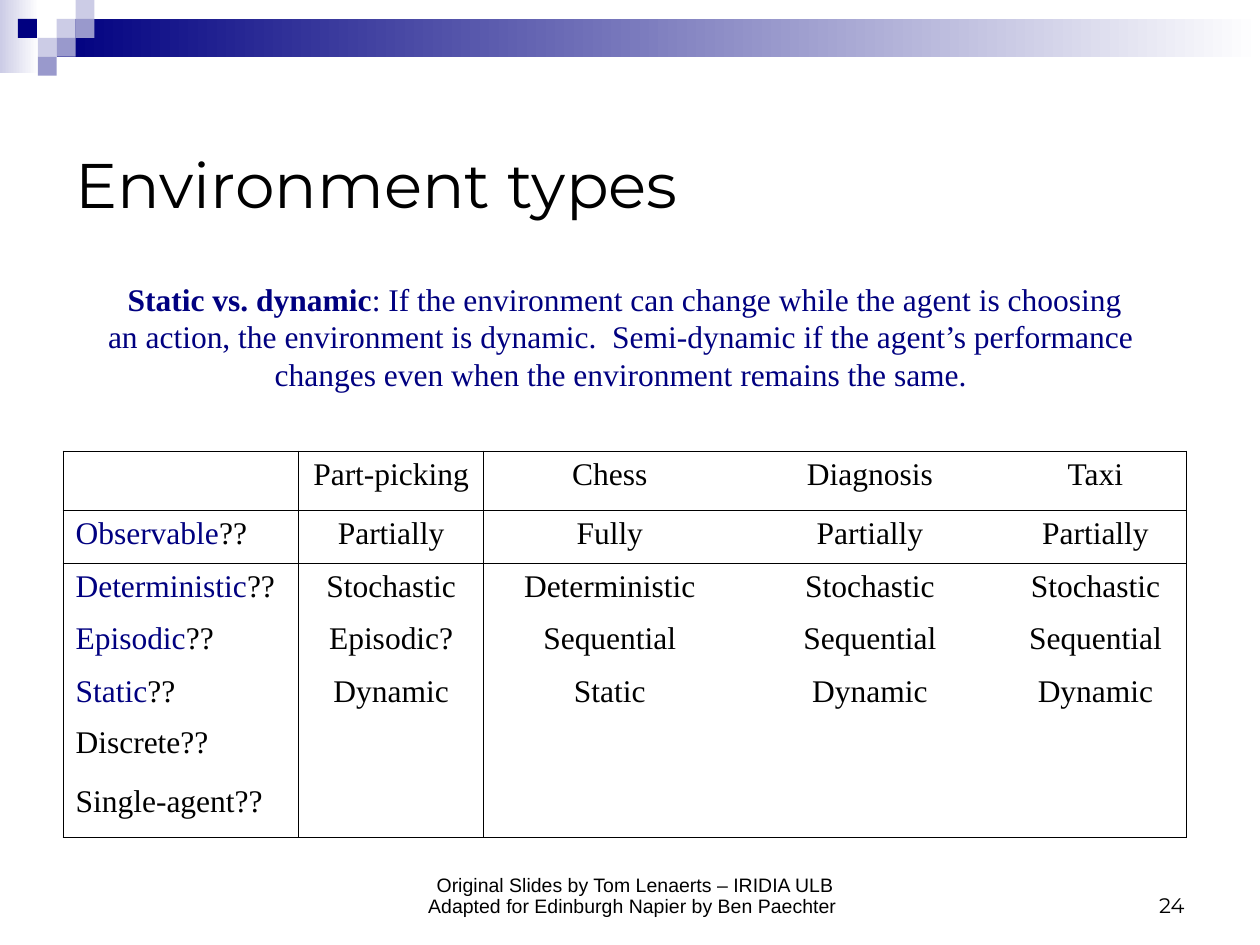
from pptx import Presentation
from pptx import util as u
from pptx.dml.color import RGBColor
from pptx.enum import shapes, text
from pptx.oxml import parse_xml
from pptx.oxml.ns import nsdecls

In = u.Inches
LEFT, MID, RIGHT = text.PP_ALIGN.LEFT, text.PP_ALIGN.CENTER, text.PP_ALIGN.RIGHT
TOP, BASE = text.MSO_ANCHOR.TOP, text.MSO_ANCHOR.BOTTOM
NAVY, LILAC, MAUVE = "000080", "CCCCE6", "9999CC"
SERIF = "Times New Roman"


def hue(code):
    return RGBColor.from_string(code)


def write(frame, lines, font=SERIF, size=18, color="000000", align=LEFT,
          anchor=TOP, wrap=True, space=None):
    frame.word_wrap = wrap
    frame.vertical_anchor = anchor
    for i, line in enumerate(lines):
        para = frame.paragraphs[0] if i == 0 else frame.add_paragraph()
        para.alignment = align
        if space:
            para.line_spacing = space
        for words, tint, bold in line:
            run = para.add_run()
            run.text = words
            run.font.name = font
            run.font.size = u.Pt(size)
            run.font.bold = bold
            run.font.color.rgb = hue(tint or color)


deck = Presentation()
deck.slide_width, deck.slide_height = In(10), In(7.5)
slide = deck.slides.add_slide(deck.slide_layouts[5])

step = 0.15
bars = [(0, 0, 0.31, 0.58, LILAC, "FFFFFF"), (0.45, step, 9.55, 0.3, NAVY, "FFFFFF")]
tiles = [(3, 1, LILAC), (4, 0, LILAC), (4, 1, MAUVE), (2, 2, LILAC),
         (0.95, 1, NAVY), (3, 2, MAUVE), (2, 3, MAUVE)]
bars += [(c * step, r * step, step, step, tint, None) for c, r, tint in tiles]
for x, y, w, h, tint, end in bars:
    bar = slide.shapes.add_shape(shapes.MSO_SHAPE.RECTANGLE, In(x), In(y), In(w), In(h))
    bar.shadow.inherit = False
    bar.line.fill.background()
    if end:
        bar.fill.gradient()
        bar.fill.gradient_angle = 0
        for stop, code in zip(bar.fill.gradient_stops, (tint, end)):
            stop.color.rgb = hue(code)
    else:
        bar.fill.solid()
        bar.fill.fore_color.rgb = hue(tint)

title = slide.shapes.title
title.left, title.top, title.width, title.height = In(0.5), In(0.83), In(9), In(1.25)
write(title.text_frame, [[("Environment types", None, False)]], font="Montserrat",
      size=36, anchor=text.MSO_ANCHOR.MIDDLE)

notes = [
    ((3.03, 6.83, 4.02, 0.5),
     [[("Original Slides by Tom Lenaerts – IRIDIA ULB", None, False)],
      [("Adapted for Edinburgh Napier by Ben Paechter ", None, False)]],
     dict(font="Arial", size=11.1, align=MID, anchor=BASE, space=0.9)),
    ((7.17, 6.83, 2.33, 0.5), [[("24", None, False)]],
     dict(font="Montserrat", size=12, align=RIGHT, anchor=BASE)),
    ((0.75, 2.17, 8.42, 1),
     [[("Static vs. dynamic", None, True),
       (": If the environment can change while the agent is choosing", None, False)],
      [("an action, the environment is dynamic.  Semi-dynamic if the agent’s performance ",
        None, False)],
      [("changes even when the environment remains the same. ", None, False)]],
     dict(color=NAVY, align=MID, wrap=False)),
]
for place, lines, look in notes:
    box = slide.shapes.add_textbox(*[In(n) for n in place])
    write(box.text_frame, lines, **look)

rows = [
    ["", "Part-picking", "Chess", "Diagnosis", "Taxi"],
    ["Observable??", "Partially", "Fully", "Partially", "Partially"],
    ["Deterministic??", "Stochastic", "Deterministic", "Stochastic", "Stochastic"],
    ["Episodic??", "Episodic?", "Sequential", "Sequential", "Sequential"],
    ["Static??", "Dynamic", "Static", "Dynamic", "Dynamic"],
    ["Discrete??", "", "", "", ""],
    ["Single-agent??", "", "", "", ""],
]
wide = [1.87, 1.47, 2, 2.13, 1.45]
high = [0.47, 0.42, 0.41, 0.42, 0.41, 0.47, 0.47]
grid = slide.shapes.add_table(len(rows), len(wide), In(0.5), In(3.58),
                              In(sum(wide)), In(sum(high))).table
grid.first_row = grid.horz_banding = False
grid._tbl.tblPr[0].text = "{2D5ABB26-0587-4C30-8999-92F81FD0307C}"
for col, w in zip(grid.columns, wide):
    col.width = In(w)
for row, h in zip(grid.rows, high):
    row.height = In(h)

for r, row in enumerate(rows):
    for c, words in enumerate(row):
        cell = grid.cell(r, c)
        edges = {"L": c < 2, "R": c in (0, 4), "T": r < 2, "B": r in (0, 6)}
        for side, shown in edges.items():
            if shown:
                cell._tc.get_or_add_tcPr().append(parse_xml(
                    f'<a:ln{side} {nsdecls("a")} w="5715"><a:solidFill>'
                    f'<a:srgbClr val="000000"/></a:solidFill></a:ln{side}>'))
        cell.fill.background()
        if not words:
            continue
        runs = [(words, None, False)]
        if c == 0 and r < 5:
            runs = [(words[:-2], NAVY, False), ("??", None, False)]
        write(cell.text_frame, [runs], align=MID if c else LEFT)

deck.save("out.pptx")
